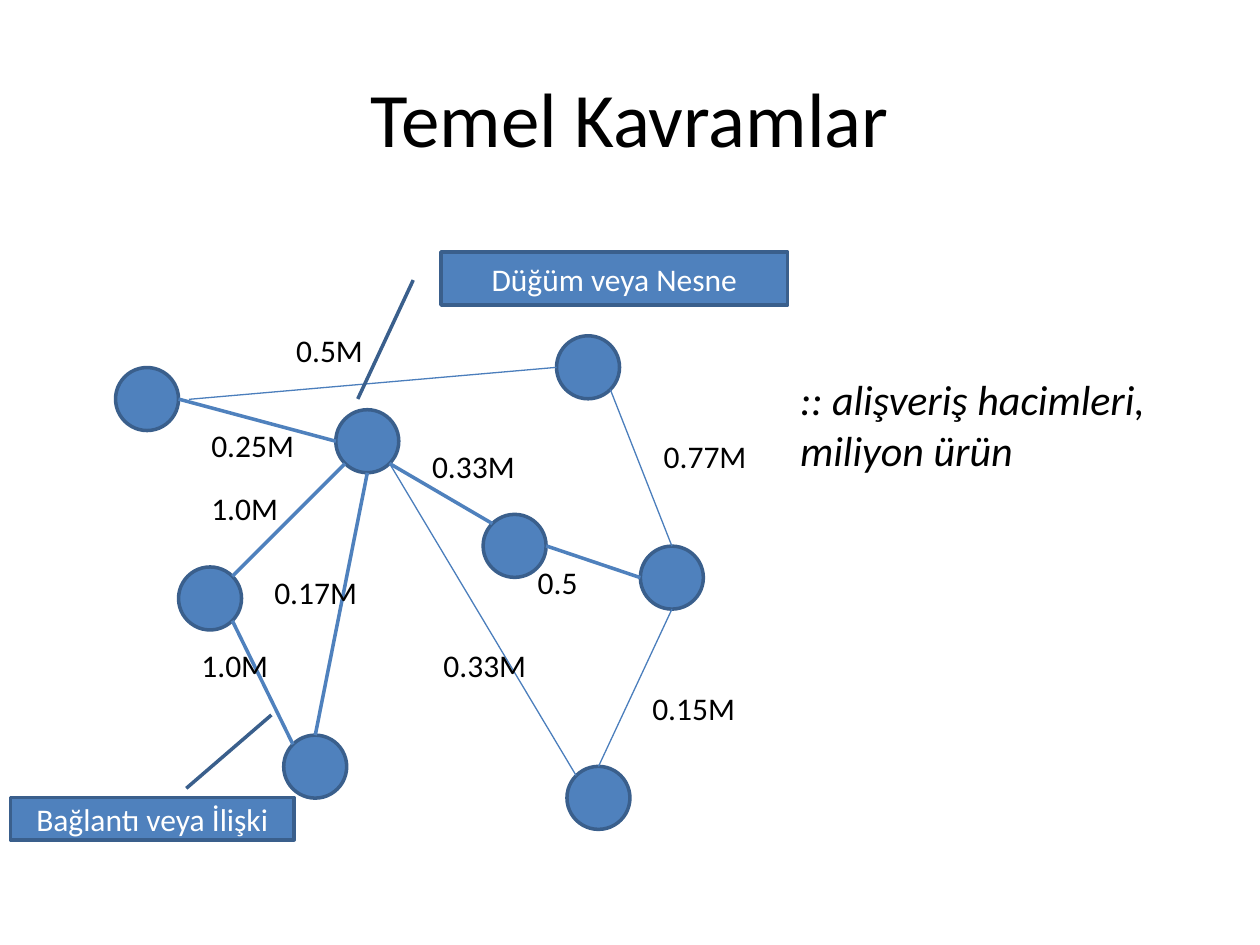
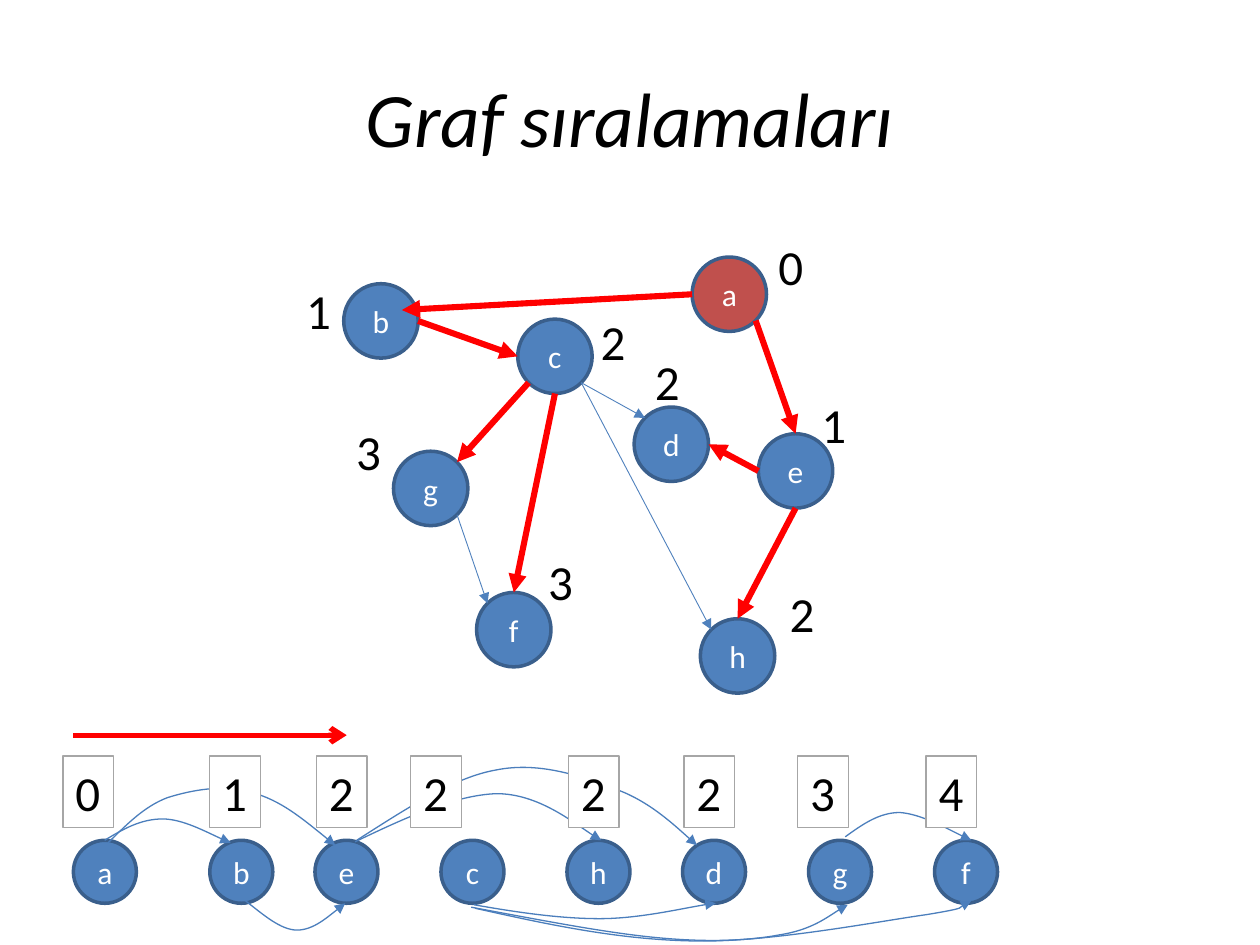
import math

import lxml.etree
import pptx
import pptx.dml.color
import pptx.enum.shapes
import pptx.enum.text
import pptx.oxml.ns
import pptx.util

Cm, Pt = pptx.util.Cm, pptx.util.Pt
RGB = pptx.dml.color.RGBColor
SHAPE = pptx.enum.shapes.MSO_SHAPE
ALIGN = pptx.enum.text.PP_ALIGN
ANCHOR = pptx.enum.text.MSO_ANCHOR
AUTO_SIZE = pptx.enum.text.MSO_AUTO_SIZE
qn = pptx.oxml.ns.qn

FONT = "Calibri"
BLACK = RGB(0x00, 0x00, 0x00)
WHITE = RGB(0xFF, 0xFF, 0xFF)
BLUE = RGB(0x4F, 0x81, 0xBD)
EDGE_BLUE = RGB(0x4B, 0x7E, 0xBC)
OUTLINE = RGB(0x3A, 0x5F, 0x8C)
ROOT_RED = RGB(0xC0, 0x50, 0x4D)
RED = RGB(0xFF, 0x00, 0x00)
GREY = RGB(0xA6, 0xA6, 0xA6)

# All positions are (left, top) in centimetres.
GRAPH = {
    "b": (2.33, 7.41), "c": (6.77, 8.26), "g": (3.6, 11.43), "d": (9.74, 10.37),
    "a": (11.22, 6.77), "e": (12.91, 11.01), "f": (5.72, 14.82), "h": (11.43, 15.45),
}
# Connection sites run counter-clockwise from the top in steps of 45 degrees.
# start, site, end, site (None: ends loose), weighted line width, on search tree
EDGES = [
    ("b", 6, "c", 2, 0, True),
    ("c", 5, "d", 1, 0, False),
    ("c", 3, "g", 7, 0, True),
    ("c", 4, "f", 0, 0, True),
    ("g", 5, "f", 1, 0, False),
    ("e", 2, "d", 6, 0, True),
    ("a", 5, "e", 0, 0.75, True),
    ("e", 4, "h", 0, 0.75, True),
    ("a", 2, "b", None, 0.75, True),
    ("c", 5, "h", 1, 0.75, False),
]

WEIGHTS = [
    ("0.5M", 5.72, 6.55), ("0.25M", 4.01, 8.46), ("0.33M", 8.46, 8.89),
    ("0.77M", 13.13, 8.69), ("0.5", 10.59, 11.23), ("0.15M", 12.9, 13.77),
    ("0.33M", 8.69, 12.9), ("0.17M", 5.28, 11.43), ("1.0M", 4.01, 9.73),
    ("1.0M", 3.81, 12.9),
]
WEIGHT_WIDTHS = {3: 1.32, 4: 1.88, 5: 2.18}  # by number of characters
CALLOUTS = [
    ("Düğüm veya Nesne", (8.89, 5.08, 6.99, 1.07), (0.53, -0.08, 2.77, -0.24)),
    ("Bağlantı veya İlişki", (0.21, 16.08, 5.72, 0.85), (-0.22, 0.62, -1.96, 0.92)),
]

DEPTHS = [
    ("0", 15.44, 4.65), ("1", 5.92, 5.54), ("1", 16.31, 7.82), ("2", 15.67, 11.63),
    ("2", 12.95, 6.96), ("2", 11.86, 6.15), ("3", 6.93, 8.38), ("3", 10.8, 11),
]
# node, its left, depth, left of the depth box
ORDERING = [
    ("a", 1.48, "0", 1.27), ("b", 4.23, "1", 4.23), ("e", 6.35, "2", 6.38),
    ("c", 8.89, "2", 8.28), ("h", 11.43, "2", 11.46), ("d", 13.76, "2", 13.79),
    ("g", 16.3, "3", 16.08), ("f", 18.84, "4", 18.67),
]
# Each arc: a start, then two control points and an end for every segment.
ARCS = [
    [(2.11, 16.94), (2.49, 16.71), (2.84, 16.51), (3.28, 16.51),
     (3.68, 16.51), (4.39, 16.89), (4.65, 16.99)],
    [(2.18, 16.99), (2.54, 16.64), (2.9, 16.26), (3.38, 16.08), (3.86, 15.93),
     (4.52, 15.8), (5.08, 15.98), (5.66, 16.13), (6.2, 16.59), (6.76, 17.04)],
    [(4.95, 18.16), (5.31, 18.44), (5.66, 18.75), (5.99, 18.75),
     (6.32, 18.75), (6.96, 18.21), (6.96, 18.21)],
    [(7.16, 16.97), (8.18, 16.48), (9.17, 16.03), (10.01, 16),
     (10.85, 16), (11.79, 16.76), (12.12, 16.94)],
    [(7.19, 16.94), (8.18, 16.31), (9.14, 15.67), (10.01, 15.52), (10.9, 15.34),
     (11.79, 15.67), (12.47, 15.93), (13.13, 16.18), (14.05, 17.04), (14.05, 17.04)],
    [(9.55, 18.24), (10.41, 18.39), (11.28, 18.52), (12.09, 18.52),
     (12.9, 18.52), (14.07, 18.24), (14.43, 18.21)],
    [(9.5, 18.29), (10.85, 18.54), (12.17, 18.8), (13.21, 18.9), (14.22, 19),
     (15.06, 18.97), (15.7, 18.85), (16.36, 18.75), (16.89, 18.34), (17.09, 18.24)],
    [(9.58, 18.31), (11.05, 18.64), (12.5, 18.95), (14.02, 18.97), (15.52, 19),
     (17.73, 18.57), (18.67, 18.44), (19.58, 18.29), (19.58, 18.11), (19.58, 18.16)],
    [(17.04, 16.87), (17.4, 16.61), (17.73, 16.38), (18.14, 16.38),
     (18.57, 16.41), (19.35, 16.84), (19.58, 16.94)],
]


def write(frame, text, size=18, color=BLACK, italic=False, align=ALIGN.LEFT,
          anchor=ANCHOR.TOP, wrap=True, grow=False):
    frame.word_wrap = wrap
    frame.auto_size = AUTO_SIZE.SHAPE_TO_FIT_TEXT if grow else AUTO_SIZE.NONE
    frame.vertical_anchor = anchor
    paragraph = frame.paragraphs[0]
    paragraph.alignment = align
    run = paragraph.add_run()
    run.text = text
    run.font.name, run.font.size, run.font.italic = FONT, Pt(size), italic
    run.font.color.rgb = color


def add_titled_slide(deck, title, italic=False):
    slide = deck.slides.add_slide(deck.slide_layouts[5])
    heading = slide.shapes.title
    heading.left, heading.top, heading.width, heading.height = map(
        Cm, (1.27, 0.76, 22.86, 3.18))
    write(heading.text_frame, title, size=44, italic=italic,
          align=ALIGN.CENTER, anchor=ANCHOR.MIDDLE)
    return slide


def add_label(slide, text, left, top, width, height, **text_format):
    label = slide.shapes.add_textbox(Cm(left), Cm(top), Cm(width), Cm(height))
    write(label.text_frame, text, grow=True, **text_format)


def add_filled(slide, preset, box, fill=BLUE, outline=OUTLINE, weight=2):
    shape = slide.shapes.add_shape(preset, *map(Cm, box))
    shape.shadow.inherit = False
    shape.fill.solid()
    shape.fill.fore_color.rgb = fill
    shape.line.color.rgb = outline
    shape.line.width = Pt(weight)
    return shape


def add_node(slide, left, top, diameter, name="", fill=BLUE):
    node = add_filled(slide, SHAPE.FLOWCHART_CONNECTOR,
                      (left, top, diameter, diameter), fill)
    if name:
        write(node.text_frame, name, color=WHITE, align=ALIGN.CENTER, anchor=ANCHOR.MIDDLE)
    return node


def style_line(shape, color, weight, tip=None):
    shape.line.color.rgb = color
    shape.line.width = Pt(weight)
    if tip:
        outline = shape._element.spPr.find(qn("a:ln"))
        lxml.etree.SubElement(outline, qn("a:tailEnd"), type=tip)


def add_line(slide, start, end, color, weight, tip=None):
    line = slide.shapes.add_connector(
        pptx.enum.shapes.MSO_CONNECTOR.STRAIGHT, *start, *end)
    style_line(line, color, weight, tip)
    lxml.etree.SubElement(line._element.spPr, qn("a:effectLst"))
    return line


def site_point(node, site):
    angle = math.radians(45 * site)
    radius = node.width / 2
    return (round(node.left + radius * (1 - math.sin(angle))),
            round(node.top + radius * (1 - math.cos(angle))))


def join(line, start, start_site, end, end_site):
    """Attach the line to the nodes' eight-site outline, keeping its ends in place."""
    ends = line.begin_x, line.begin_y, line.end_x, line.end_y
    line.begin_connect(start, 0)
    line._element.xpath(".//a:stCxn")[0].set("idx", str(start_site))
    if end_site is not None:
        line.end_connect(end, 0)
        line._element.xpath(".//a:endCxn")[0].set("idx", str(end_site))
    line.begin_x, line.begin_y, line.end_x, line.end_y = ends


def add_edges(slide, nodes, loose_end, edge_style):
    for start, start_site, end, end_site, weight, on_tree in EDGES:
        target = (tuple(map(Cm, loose_end)) if end_site is None
                  else site_point(nodes[end], end_site))
        line = add_line(slide, site_point(nodes[start], start_site), target,
                        *edge_style(weight, on_tree))
        join(line, nodes[start], start_site, nodes[end], end_site)


def bezier(corners, t):
    factors = (1 - t) ** 3, 3 * t * (1 - t) ** 2, 3 * t * t * (1 - t), t ** 3
    return tuple(sum(f * corner[axis] for f, corner in zip(factors, corners))
                 for axis in (0, 1))


def add_arc(slide, points):
    """Size a freeform by points along the curve, then give it the true curve."""
    segments = [points[i:i + 4] for i in range(0, len(points) - 1, 3)]
    samples = [bezier(s, step / 20) for s in segments for step in range(1, 21)]
    builder = slide.shapes.build_freeform(*map(Cm, points[0]))
    builder.add_line_segments([(Cm(x), Cm(y)) for x, y in samples], close=False)
    arc = builder.convert_to_shape()
    outline = arc._element.xpath(".//a:pathLst/*")[0]
    for straight in outline.findall(qn("a:lnTo")):
        outline.remove(straight)
    for segment in segments:
        curve = lxml.etree.SubElement(outline, qn("a:cubicBezTo"))
        for x, y in segment[1:]:
            lxml.etree.SubElement(curve, qn("a:pt"), x=str(Cm(x) - arc.left),
                                  y=str(Cm(y) - arc.top))
    arc.shadow.inherit = False
    arc.fill.background()
    style_line(arc, EDGE_BLUE, 0.75, "triangle")


def weighted_style(weight, on_tree):
    return (EDGE_BLUE if weight else BLUE), weight


def search_style(weight, on_tree):
    return (RED, 3.5, "triangle") if on_tree else (BLUE, 0.5, "triangle")


def build_concepts(deck):
    slide = add_titled_slide(deck, "Temel Kavramlar")
    nodes = {name: add_node(slide, *place, 1.27) for name, place in GRAPH.items()}
    add_edges(slide, nodes, (3.81, 8.05), weighted_style)
    for text, left, top in WEIGHTS:
        add_label(slide, text, left, top, WEIGHT_WIDTHS[len(text)], 1.02, wrap=False)
    add_label(slide, ":: alişveriş hacimleri, miliyon ürün", 15.88, 7.41, 7.82, 2.31,
              size=24, italic=True)
    for text, box, pointer in CALLOUTS:
        callout = add_filled(slide, SHAPE.LINE_CALLOUT_1, box)
        for i, value in enumerate(pointer):
            callout.adjustments[i] = value
        write(callout.text_frame, text, color=WHITE, align=ALIGN.CENTER,
              anchor=ANCHOR.MIDDLE)


def build_orderings(deck):
    slide = add_titled_slide(deck, "Graf sıralamaları", italic=True)
    for name, left, _, _ in ORDERING:
        add_node(slide, left, 16.94, 1.27, name)
    for points in ARCS:
        add_arc(slide, points)

    # The same graph, squeezed towards its node b.
    b_left, b_top = GRAPH["b"]
    nodes = {
        name: add_node(slide, 6.93 + 0.79 * (left - b_left), 5.72 + 0.84 * (top - b_top),
                       1.5, name, ROOT_RED if name == "a" else BLUE)
        for name, (left, top) in GRAPH.items()
    }
    add_edges(slide, nodes, (8.1, 6.25), search_style)
    for depth, left, top in DEPTHS:
        add_label(slide, depth, left, top, 0.81, 1.22, size=28, wrap=False)
    for _, _, depth, left in ORDERING:
        box = add_filled(slide, SHAPE.RECTANGLE, (left, 15.24, 1.02, 1.45), WHITE, GREY, 0.75)
        write(box.text_frame, depth, size=28, wrap=False, grow=True)
    add_line(slide, (Cm(1.48), Cm(14.82)), (Cm(6.99), Cm(14.82)), RED, 3, "arrow")


def main():
    deck = pptx.Presentation()
    deck.slide_width, deck.slide_height = Cm(25.4), Cm(19.05)
    build_concepts(deck)
    build_orderings(deck)
    deck.save("out.pptx")


if __name__ == "__main__":
    main()
